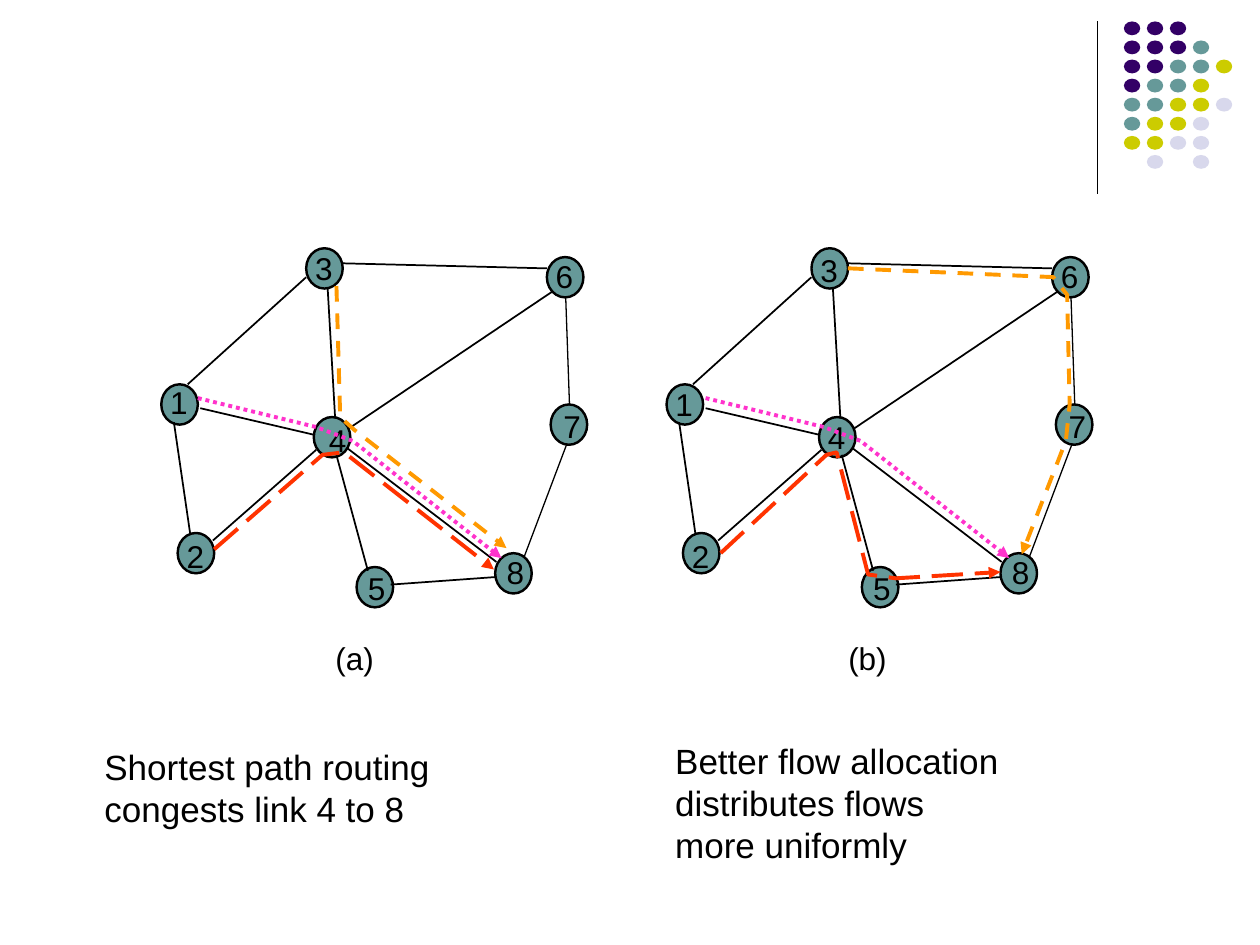
from dataclasses import dataclass

from lxml import etree
from pptx import Presentation
from pptx import util as u
from pptx.dml.color import RGBColor
from pptx.enum import dml, shapes, text
from pptx.oxml.ns import qn


@dataclass(frozen=True)
class Theme:
    font: str = "Arial"
    ink: str = "000000"
    teal: str = "669999"
    purple: str = "330066"
    lime: str = "CCCC00"
    lavender: str = "D8D8EC"
    pink: str = "FF33CC"
    orange: str = "FF9900"
    red: str = "FF3300"
    label_size: float = 18
    caption_size: float = 20
    thin: float = 0.75
    link: float = 1
    outline: float = 1.38
    flow: float = 2.25


THEME = Theme()
DASHES = {
    THEME.pink: dml.MSO_LINE.ROUND_DOT,
    THEME.orange: dml.MSO_LINE.DASH,
    THEME.red: dml.MSO_LINE.LONG_DASH,
}

DOT_COLOURS = {"P": THEME.purple, "T": THEME.teal, "L": THEME.lime, "V": THEME.lavender}
DOT_ROWS = ["PPP", "PPPT", "PPTTL", "PTTL", "TTLLV", "TLLV", "LLVV", " V V"]
DOT_LEFT, DOT_TOP = 8.92, 0.17
DOT_STEP_X, DOT_STEP_Y = 0.73 / 4, 1.06 / 7

NODE_WIDTH, NODE_HEIGHT = 0.29, 0.32
LABEL_WIDTH, LABEL_HEIGHT = 0.14, 0.3
NETWORK_STEP = 4.01

# Node: left, top, then the offset of its number
NODES = {
    "4": (2.49, 3.31, 0.07, 0.01),
    "6": (4.34, 2.04, 0.07, 0),
    "3": (2.43, 1.97, 0.07, 0.01),
    "2": (1.41, 4.23, 0.07, 0.03),
    "1": (1.28, 3.05, 0.07, 0),
    "5": (2.83, 4.5, 0.09, 0.02),
    "8": (3.93, 4.39, 0.09, 0),
    "7": (4.37, 3.21, 0.1, 0.02),
}
LINKS = [
    (2.66, 3.32, 2.6, 2.28),
    (2.76, 3.56, 3.94, 4.46),
    (1.49, 3.05, 2.43, 2.2),
    (2.72, 2.09, 4.34, 2.13),
    (1.38, 3.35, 1.51, 4.24),
    (3.1, 4.64, 3.93, 4.58),
    (1.59, 3.24, 2.49, 3.45),
    (2.51, 3.57, 1.69, 4.29),
    (2.77, 3.4, 4.39, 2.31),
    (2.67, 3.61, 2.92, 4.53),
]
THIN_LINKS = [(4.49, 2.36, 4.52, 3.21), (4.5, 3.52, 4.16, 4.42)]

FLOWS = [
    (THEME.pink, [(1.57, 3.16), (2.51, 3.39), (2.8, 3.5), (3.98, 4.43)]),
    (THEME.orange, [(2.67, 2.27), (2.7, 3.31), (2.81, 3.41), (4.02, 4.35)]),
    (THEME.red, [(1.7, 4.36), (2.56, 3.61), (2.73, 3.59), (3.92, 4.52)]),
    (THEME.pink, [(5.6, 3.16), (6.54, 3.39), (6.83, 3.5), (8.01, 4.43)]),
    (THEME.orange, [(6.73, 2.13), (8.36, 2.2), (8.47, 2.34),
                    (8.49, 3.21), (8.46, 3.5), (8.11, 4.4)]),
    (THEME.red, [(5.72, 4.39), (6.56, 3.61), (6.64, 3.59),
                 (6.89, 4.56), (7.11, 4.59), (7.94, 4.54)]),
]


def inches(*values):
    return [u.Inches(value) for value in values]


def apply(target, formats):
    for name, value in formats.items():
        setattr(target, name, value)


class Sketch:
    """Draws styled elements on the page, or in its current group."""

    def __init__(self, page, theme):
        self.page, self.theme = page, theme
        self.shapes = page.shapes

    def start_group(self):
        self.shapes = self.page.shapes.add_group_shape().shapes

    def end_group(self):
        self.shapes = self.page.shapes

    def stroke(self, shape, colour, width):
        shape.line.color.rgb = RGBColor.from_string(colour)
        shape.line.width = u.Pt(width)

    def line(self, ends, width):
        connector = self.shapes.add_connector(
            shapes.MSO_CONNECTOR.STRAIGHT, *inches(*ends))
        self.stroke(connector, self.theme.ink, width)
        etree.SubElement(connector._element.spPr, qn("a:effectLst"))

    def ellipse(self, bounds, fill, outlined=False):
        shape = self.shapes.add_shape(shapes.MSO_SHAPE.OVAL, *inches(*bounds))
        shape.shadow.inherit = False
        shape.fill.solid()
        shape.fill.fore_color.rgb = RGBColor.from_string(fill)
        if outlined:
            self.stroke(shape, self.theme.ink, self.theme.outline)
        else:
            shape.line.fill.background()

    def flow(self, colour, points):
        """Draw a dashed route that ends in an arrowhead."""
        start, *rest = [inches(*point) for point in points]
        builder = self.shapes.build_freeform(*start)
        builder.add_line_segments(rest, close=False)
        shape = builder.convert_to_shape()
        shape.shadow.inherit = False
        shape.fill.background()
        self.stroke(shape, colour, self.theme.flow)
        shape.line.dash_style = DASHES[colour]
        etree.SubElement(shape.line._ln, qn("a:tailEnd"), type="triangle")

    def words(self, content, bounds, size, align=text.PP_ALIGN.LEFT, **frame_formats):
        box = self.shapes.add_textbox(*inches(*bounds))
        frame = box.text_frame
        apply(frame, {"word_wrap": False,
                      "auto_size": text.MSO_AUTO_SIZE.SHAPE_TO_FIT_TEXT,
                      **frame_formats})
        para = frame.paragraphs[0]
        para.alignment = align
        span = para.add_run()
        span.text = content
        apply(span.font, {"name": self.theme.font, "size": u.Pt(size)})
        span.font.color.rgb = RGBColor.from_string(self.theme.ink)

    def node(self, number, left, top, label_left, label_top):
        self.ellipse((left, top, NODE_WIDTH, NODE_HEIGHT), self.theme.teal, outlined=True)
        self.words(number, (label_left, label_top, LABEL_WIDTH, LABEL_HEIGHT),
                   self.theme.label_size, text.PP_ALIGN.CENTER,
                   margin_left=0, margin_top=0, margin_right=0, margin_bottom=0)

    def network(self, shift, label_nudges):
        for number, (left, top, offset_x, offset_y) in NODES.items():
            nudge_x, nudge_y = label_nudges.get(number, (0, 0))
            self.node(number, left + shift, top,
                      left + shift + offset_x + nudge_x, top + offset_y + nudge_y)
        for links, width in ((LINKS, self.theme.link), (THIN_LINKS, self.theme.thin)):
            for x1, y1, x2, y2 in links:
                self.line((x1 + shift, y1, x2 + shift, y2), width)

    def dot_grid(self):
        for row, marks in enumerate(DOT_ROWS):
            for column, mark in enumerate(marks):
                if mark in DOT_COLOURS:
                    self.ellipse((DOT_LEFT + column * DOT_STEP_X,
                                  DOT_TOP + row * DOT_STEP_Y, 0.13, 0.11),
                                 DOT_COLOURS[mark])


def main():
    deck = Presentation()
    deck.slide_width, deck.slide_height = inches(10, 7.5)
    page = deck.slides.add_slide(deck.slide_layouts[6])
    sketch = Sketch(page, THEME)

    sketch.line((8.71, 0.17, 8.71, 1.54), THEME.thin)
    sketch.start_group()
    sketch.dot_grid()

    sketch.start_group()
    sketch.network(0, {"4": (0.05, 0.02), "1": (0, -0.01)})
    sketch.network(NETWORK_STEP, {"3": (0, 0.01), "1": (0, 0.01)})
    for colour, points in FLOWS:
        sketch.flow(colour, points)
    for name, left in (("(a)", 2.56), ("(b)", 6.63)):
        sketch.words(name, (left, 5.02, 0.51, 0.4), THEME.label_size,
                     text.PP_ALIGN.CENTER, vertical_anchor=text.MSO_ANCHOR.MIDDLE)
    sketch.end_group()

    for caption, bounds in (
        ("Shortest path routing congests link 4 to 8", (0.73, 5.87, 2.85, 0.77)),
        ("Better flow allocation distributes flows more uniformly", (5.26, 5.82, 2.85, 1.1)),
    ):
        sketch.words(caption, bounds, THEME.caption_size, word_wrap=True)
    deck.save("out.pptx")


if __name__ == "__main__":
    main()
